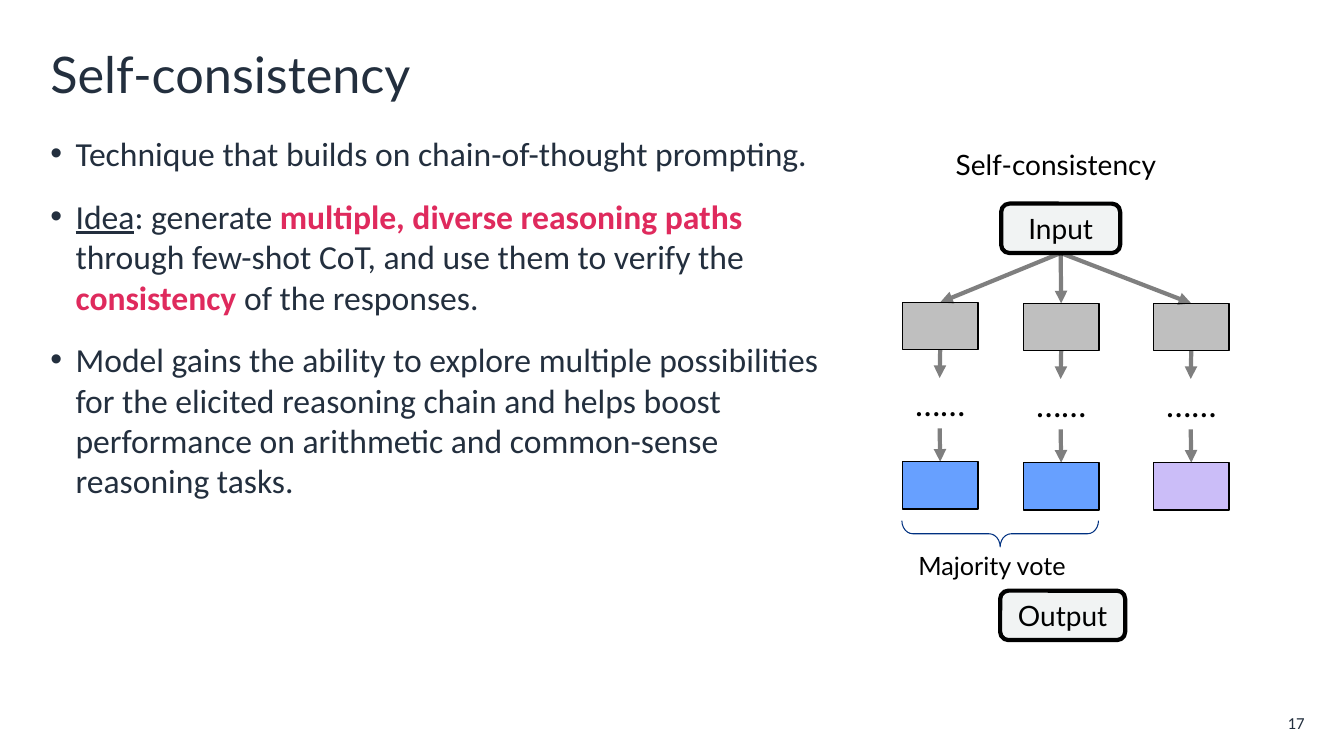
"""Build the Self-consistency slide with its prompting diagram."""
from dataclasses import dataclass

from lxml import etree
from pptx import Presentation
from pptx.dml.color import RGBColor
from pptx.enum.shapes import MSO_CONNECTOR, MSO_SHAPE
from pptx.enum.text import MSO_ANCHOR, MSO_AUTO_SIZE, PP_ALIGN
from pptx.oxml.ns import qn
from pptx.util import Pt

EMU_PER_PX = 9144
STRAIGHT = MSO_CONNECTOR.STRAIGHT
RECT, ROUNDED, BRACE = MSO_SHAPE.RECTANGLE, MSO_SHAPE.ROUNDED_RECTANGLE, MSO_SHAPE.LEFT_BRACE
TOP, MIDDLE = MSO_ANCHOR.TOP, MSO_ANCHOR.MIDDLE
LEFT, CENTER, RIGHT = PP_ALIGN.LEFT, PP_ALIGN.CENTER, PP_ALIGN.RIGHT
FIXED = MSO_AUTO_SIZE.NONE
TOP_SIDE, BOTTOM_SIDE = 0, 2


@dataclass(frozen=True)
class Theme:
    """Colours, fonts and type sizes of the slide."""
    ink: str = "232F3E"
    accent: str = "DF2A5D"
    black: str = "000000"
    panel: str = "F1F3F3"
    step: str = "BFBFBF"
    agreeing: str = "67A0FF"
    differing: str = "CBBDF8"
    brace: str = "003181"
    heading_font: str = "Lato"
    body_font: str = "Calibri"
    title: int = 36
    body: int = 24
    label: int = 20
    caption: int = 18
    page: int = 12


def px(*lengths):
    """Turn px lengths into EMU."""
    return [length * EMU_PER_PX for length in lengths]


class SlideBuilder:
    """Draw styled elements on one slide."""

    def __init__(self, slide, theme):
        self.slide, self.theme = slide, theme

    def style(self, paragraph, size, color, font, align=LEFT):
        """Format a whole paragraph."""
        paragraph.alignment = align
        paragraph.font.size, paragraph.font.name = Pt(size), font
        paragraph.font.color.rgb = RGBColor.from_string(color)

    def place(self, holder, box, anchor):
        """Move a placeholder and fix its text frame."""
        holder.left, holder.top, holder.width, holder.height = px(*box)
        holder.text_frame.auto_size = FIXED
        holder.text_frame.vertical_anchor = anchor
        return holder.text_frame

    def title(self, box, wording):
        """Fill the title placeholder."""
        frame = self.place(self.slide.shapes.title, box, MIDDLE)
        frame.text = wording
        self.style(frame.paragraphs[0], self.theme.title, self.theme.ink, self.theme.heading_font)

    def bullets(self, box, points):
        """Fill the body placeholder with points made of (wording, emphasis) runs."""
        frame = self.place(self.slide.placeholders[1], box, TOP)
        for index, point in enumerate(points):
            paragraph = frame.add_paragraph() if index else frame.paragraphs[0]
            paragraph.space_before, paragraph.space_after = Pt(10), Pt(6)
            properties = paragraph._p.get_or_add_pPr()
            indent = 25 * EMU_PER_PX
            properties.set("marL", str(indent))
            properties.set("indent", str(-indent))
            bullet_color = etree.SubElement(properties, qn("a:buClr"))
            etree.SubElement(bullet_color, qn("a:srgbClr"), val=self.theme.ink)
            etree.SubElement(properties, qn("a:buChar"), char="•")
            self.style(paragraph, self.theme.body, self.theme.ink, self.theme.body_font)
            for wording, emphasis in point:
                run = paragraph.add_run()
                run.text = wording
                if emphasis == "underline":
                    run.font.underline = True
                elif emphasis == "accent":
                    run.font.bold = True
                    run.font.color.rgb = RGBColor.from_string(self.theme.accent)

    def text(self, box, wording, size, align=LEFT, anchor=TOP, color=None, font=None, inset=True):
        """Add a text box."""
        frame = self.slide.shapes.add_textbox(*px(*box)).text_frame
        frame.word_wrap = True
        frame.vertical_anchor = anchor
        if not inset:
            frame.margin_left = frame.margin_right = frame.margin_top = frame.margin_bottom = 0
        frame.text = wording
        self.style(frame.paragraphs[0], size, color or self.theme.black,
                   font or self.theme.heading_font, align)

    def shape(self, kind, box, fill, line, weight, wording=""):
        """Add an outlined shape, filled when a fill is given."""
        shape = self.slide.shapes.add_shape(kind, *px(*box))
        shape.shadow.inherit = False
        if fill:
            shape.fill.solid()
            shape.fill.fore_color.rgb = RGBColor.from_string(fill)
        else:
            shape.fill.background()
        shape.line.color.rgb = RGBColor.from_string(line)
        shape.line.width = Pt(weight)
        if wording:
            frame = shape.text_frame
            frame.vertical_anchor = MIDDLE
            frame.text = wording
            self.style(frame.paragraphs[0], self.theme.label, self.theme.black,
                       self.theme.heading_font, CENTER)
        return shape

    def arrow(self, start, end, source=None, target=None):
        """Add a half-transparent arrow, joined to the given shapes."""
        arrow = self.slide.shapes.add_connector(STRAIGHT, *px(*start, *end))
        if source:
            arrow.begin_connect(source, BOTTOM_SIDE)
        if target:
            arrow.end_connect(target, TOP_SIDE)
        arrow.line.width = Pt(3)
        arrow.line.color.rgb = RGBColor.from_string(self.theme.black)
        outline = arrow.line._ln
        etree.SubElement(outline.find(".//" + qn("a:srgbClr")), qn("a:alpha"), val="50000")
        etree.SubElement(outline, qn("a:tailEnd"), type="triangle")
        etree.SubElement(arrow._element.spPr, qn("a:effectLst"))

    def reasoning_path(self, prompt, center, top, answer_color):
        """Add one column leading from the prompt to an answer."""
        width, height = 75, 47
        left = center - width // 2
        dots_top, dots_bottom, answer_top = top + 75, top + 125, top + 158
        step = self.shape(RECT, (left, top, width, height), self.theme.step, self.theme.black, 0.85)
        answer = self.shape(RECT, (left, answer_top, width, height), answer_color,
                            self.theme.black, 0.85)
        self.text((center - 54, dots_top, 109, 50), "……", self.theme.body, CENTER, MIDDLE)
        self.arrow((1052, 251), (center, top), prompt, step)
        self.arrow((center, top + height), (center, dots_top), source=step)
        self.arrow((center, dots_bottom), (center, answer_top), target=answer)


def main():
    """Assemble and save the slide."""
    deck = Presentation()
    deck.slide_width, deck.slide_height = px(1333, 750)
    theme = Theme()
    page = SlideBuilder(deck.slides.add_slide(deck.slide_layouts[1]), theme)

    page.title((40, 33, 1254, 80), "Self-consistency")
    page.bullets((40, 127, 819, 576), [
        [("Technique that builds on chain-of-thought prompting.", None)],
        [("Idea", "underline"), (": generate ", None),
         ("multiple, diverse reasoning paths ", "accent"),
         ("through few-shot CoT, and use them to verify the ", None),
         ("consistency", "accent"), (" of the responses.", None)],
        [("Model gains the ability to explore multiple possibilities for the elicited "
          "reasoning chain and helps boost performance on arithmetic and common-sense "
          "reasoning tasks.", None)],
    ])
    page.text((1241, 705, 53, 25), "17", theme.page, RIGHT, MIDDLE,
              theme.ink, theme.body_font, inset=False)

    page.text((938, 141, 242, 44), "Self-consistency", theme.label)
    prompt = page.shape(ROUNDED, (993, 202, 118, 49), theme.panel, theme.black, 3, "Input")
    for center, top, answer_color in ((932, 300, theme.agreeing), (1052, 301, theme.agreeing),
                                      (1181, 301, theme.differing)):
        page.reasoning_path(prompt, center, top, answer_color)

    majority = page.shape(BRACE, (979, 432, 26, 195), None, theme.brace, 0.75)
    majority.rotation = 270
    majority.adjustments[0] = 0.42
    page.text((901, 541, 242, 40), "Majority vote", theme.caption)
    page.shape(ROUNDED, (992, 586, 124, 49), theme.panel, theme.black, 3, "Output")
    deck.save("out.pptx")


if __name__ == "__main__":
    main()
